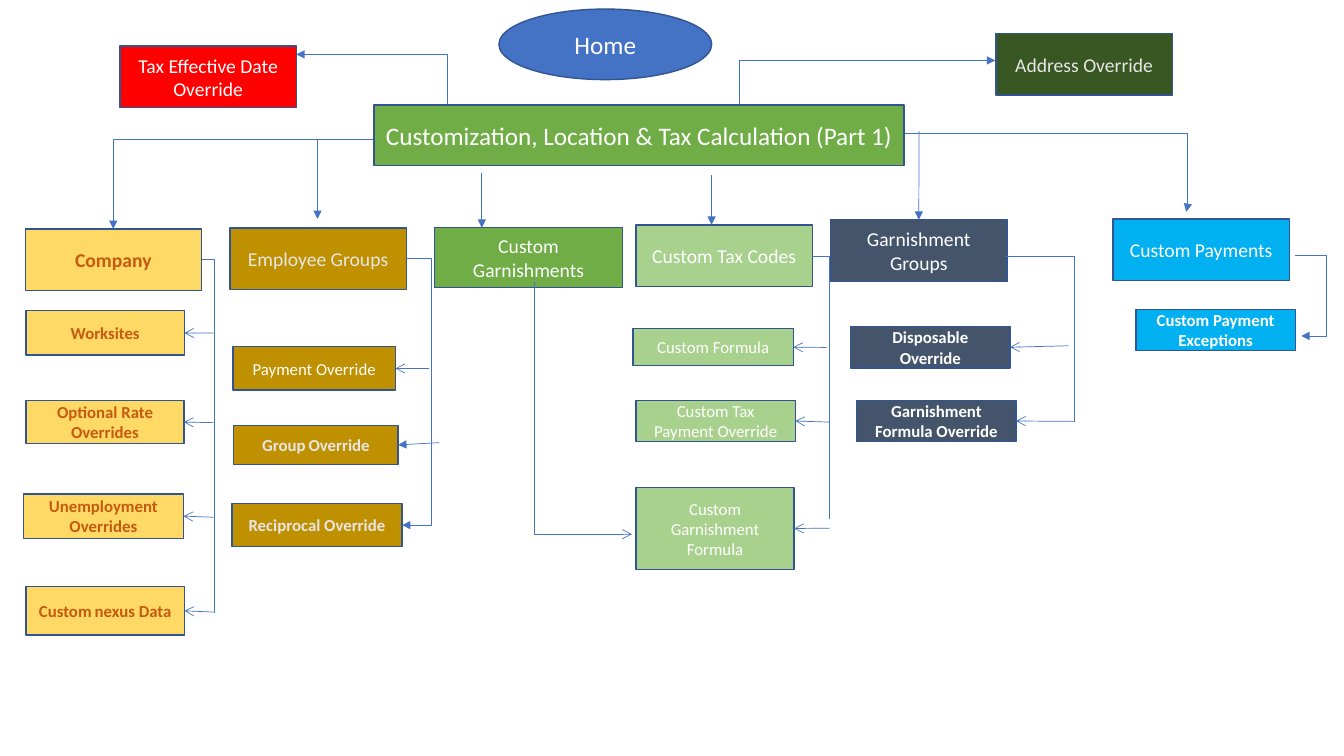
"""Build the tax customization map slide."""
from dataclasses import dataclass
from typing import Optional

from lxml import etree
from pptx import Presentation
from pptx.dml.color import RGBColor
from pptx.enum.shapes import MSO_CONNECTOR, MSO_SHAPE
from pptx.enum.text import MSO_ANCHOR, PP_ALIGN
from pptx.oxml.ns import qn
from pptx.shapes.autoshape import Shape
from pptx.shapes.connector import Connector
from pptx.shapes.shapetree import SlideShapes
from pptx.util import Pt

RECT, OVAL = MSO_SHAPE.RECTANGLE, MSO_SHAPE.OVAL
STRAIGHT, ELBOW = MSO_CONNECTOR.STRAIGHT, MSO_CONNECTOR.ELBOW
MIDDLE, CENTER = MSO_ANCHOR.MIDDLE, PP_ALIGN.CENTER
TOP, RIGHT = 0, 3
ARROW, TRIANGLE = "arrow", "triangle"


@dataclass(frozen=True)
class Theme:
    """Colours and type sizes."""
    font: str = "Calibri"
    title: float = 18
    head: float = 14
    item: float = 12
    gap: float = 9
    outline: str = "325491"
    link: str = "4472C4"
    white: str = "FFFFFF"
    grey: str = "E7E6E6"
    rust: str = "C55A11"
    yellow: str = "FFD966"
    gold: str = "BF9000"
    green: str = "70AD47"
    light_green: str = "A9D18E"
    dark_green: str = "385723"
    slate: str = "44546A"
    sky: str = "00B0F0"
    red: str = "FF0000"


T = Theme()


@dataclass(frozen=True)
class Feed:
    """Straight arrow that ends on a box side."""
    x: float
    y: float
    site: int = RIGHT
    head: str = ARROW


@dataclass(frozen=True)
class Box:
    """Labelled shape; several words are joined by a small space."""
    words: tuple[str, ...]
    x: float
    y: float
    w: float
    h: float
    fill: str
    ink: str = T.white
    size: float = T.item
    bold: bool = False
    feed: Optional[Feed] = None
    kind: MSO_SHAPE = RECT


@dataclass(frozen=True)
class Link:
    """Connector, straight unless it turns at a given x."""
    x0: float
    y0: float
    x1: float
    y1: float
    turn: Optional[float] = None
    head: str = ""


def head_box(label: str, x: float, y: float, fill: str, ink: str = T.white,
             bold: bool = False, w: float = 126, h: float = 44,
             feed: Optional[Feed] = None) -> Box:
    """Return a column head."""
    return Box((label,), x, y, w, h, fill, ink, T.head, bold, feed)


HOME = Box(("Home",), 356.4, 6.5, 152, 50.4, T.link, size=T.title, kind=OVAL)
TITLE = Box(("Customization, Location & Tax Calculation (Part 1)",),
            267.1, 74.9, 378.7, 43.4, T.green, size=T.title)

BOXES = [
    HOME,
    head_box("Tax Effective Date Override", 85.7, 33, T.red),
    head_box("Address Override", 711.4, 24, T.dark_green, T.grey),
    head_box("Company", 18, 163.5, T.yellow, T.rust, True),
    Box(("Worksites",), 18.7, 222, 113, 31.7, T.yellow, T.rust, bold=True,
        feed=Feed(152.6, 237.9)),
    Box(("Optional Rate Overrides",), 18.7, 286, 112.7, 31, T.yellow, T.rust,
        bold=True, feed=Feed(152.6, 301.9)),
    Box(("Unemployment", "Overrides"), 16.6, 352.8, 114.5, 31.7, T.yellow,
        T.rust, bold=True, feed=Feed(152.6, 369.5)),
    Box(("Custom", "nexus Data"), 18.7, 419, 113, 34.6, T.yellow, T.rust,
        bold=True, feed=Feed(152.6, 437.2)),
    head_box("Employee Groups", 164.2, 162.9, T.gold, T.grey),
    Box(("Payment Override",), 166.5, 247.7, 116, 31, T.gold,
        feed=Feed(306.7, 263.2)),
    Box(("Group", "Override"), 167, 303.8, 117.4, 28, T.gold, T.grey,
        bold=True, feed=Feed(313.9, 316.2, head=TRIANGLE)),
    Box(("Reciprocal Override",), 165.6, 359.5, 121.7, 31, T.gold, T.grey,
        bold=True),
    head_box("Custom Garnishments", 310.3, 162.7, T.green, w=134.6, h=42.5),
    head_box("Custom Tax Codes", 454.3, 160.6, T.light_green),
    Box(("Custom Formula",), 452.2, 234.7, 114.5, 26.6, T.light_green,
        feed=Feed(590.4, 248.2)),
    Box(("Custom Tax Payment Override",), 454.3, 286, 113.8, 29.5,
        T.light_green, feed=Feed(592.6, 301.5)),
    Box(("Custom Garnishment Formula",), 454.3, 348, 113, 59, T.light_green,
        feed=Feed(592.6, 377.3)),
    head_box("Garnishment Groups", 593.3, 157, T.slate,
             feed=Feed(656.5, 93.6, TOP, TRIANGLE)),
    Box(("Disposable Override",), 607.7, 233.3, 113.8, 29.5, T.slate,
        bold=True, feed=Feed(763.2, 247)),
    Box(("Garnishment Formula Override",), 612, 286, 113.8, 29.5, T.slate,
        bold=True, feed=Feed(767.5, 301)),
    head_box("Custom Payments", 795, 156.4, T.sky),
    Box(("Custom Payment Exceptions",), 811.4, 221, 113.8, 29.5, T.sky,
        bold=True),
]

LINKS = [
    Link(144, 185, 153.4, 437.8, 153.4),
    Link(580.3, 182.9, 592.6, 370.8, 592.6),
    Link(717.8, 182.9, 767.5, 301.5, 767.5),
    Link(381.6, 201.6, 451.4, 381.6, 381.6, ARROW),
    Link(534.2, 95, 847.4, 151.4, 848.2, TRIANGLE),
    Link(274.3, 99.4, 80.9, 163.5, 80.9, TRIANGLE),
    Link(925.2, 182.5, 929.5, 240, 947.5, TRIANGLE),
    Link(534.2, 74.9, 710.9, 43.2, 527.8, TRIANGLE),
    Link(288, 74.9, 211.7, 38.9, 319.7, TRIANGLE),
    Link(290.2, 184.3, 287.3, 375.1, 308.2, TRIANGLE),
    Link(226.8, 99.4, 226.8, 156.4, head=TRIANGLE),
    Link(344.2, 123.8, 344.2, 162.7, head=TRIANGLE),
    Link(508.3, 125.3, 508.3, 160.6, head=TRIANGLE),
]


def draw_box(shapes: SlideShapes, box: Box) -> Shape:
    """Draw one labelled shape."""
    s = shapes.add_shape(box.kind, Pt(box.x), Pt(box.y), Pt(box.w), Pt(box.h))
    s.shadow.inherit = False
    s.fill.solid()
    s.fill.fore_color.rgb = RGBColor.from_string(box.fill)
    s.line.color.rgb = RGBColor.from_string(T.outline)
    s.line.width = Pt(1)
    tf = s.text_frame
    tf.word_wrap = True
    tf.vertical_anchor = MIDDLE
    p = tf.paragraphs[0]
    p.alignment = CENTER
    for i, word in enumerate(box.words):
        runs = [(word, box.size)] if i == 0 else [(" ", T.gap), (word, box.size)]
        for text, size in runs:
            r = p.add_run()
            r.text = text
            r.font.name = T.font
            r.font.size = Pt(size)
            r.font.bold = box.bold
            r.font.color.rgb = RGBColor.from_string(box.ink)
    return s


def draw_link(shapes: SlideShapes, link: Link) -> Connector:
    """Draw one connector with its turn and arrowhead."""
    kind = STRAIGHT if link.turn is None else ELBOW
    c = shapes.add_connector(kind, Pt(link.x0), Pt(link.y0), Pt(link.x1), Pt(link.y1))
    c.line.color.rgb = RGBColor.from_string(T.link)
    c.line.width = Pt(0.5)
    pr = c.element.spPr
    if link.head:
        etree.SubElement(pr.find(qn("a:ln")), qn("a:tailEnd"), type=link.head)
    etree.SubElement(pr, qn("a:effectLst"))
    if link.turn is not None:
        geom = pr.find(qn("a:prstGeom"))
        if link.turn == link.x1:
            geom.set("prst", "bentConnector2")
        else:
            adj = round((link.turn - link.x0) / (link.x1 - link.x0) * 100000)
            etree.SubElement(geom.find(qn("a:avLst")), qn("a:gd"),
                             name="adj1", fmla=f"val {adj}")
    return c


def main() -> None:
    """Build and save the slide."""
    prs = Presentation()
    prs.slide_width, prs.slide_height = Pt(960), Pt(540)
    shapes = prs.slides.add_slide(prs.slide_layouts[6]).shapes
    drawn = [(box, draw_box(shapes, box)) for box in BOXES]
    for link in LINKS:
        draw_link(shapes, link)
    for box, s in drawn:
        if box.feed:
            f = box.feed
            c = draw_link(shapes, Link(f.x, f.y, box.x, box.y, head=f.head))
            c.end_connect(s, f.site)
    draw_box(shapes, TITLE)
    prs.save("out.pptx")


if __name__ == "__main__":
    main()
